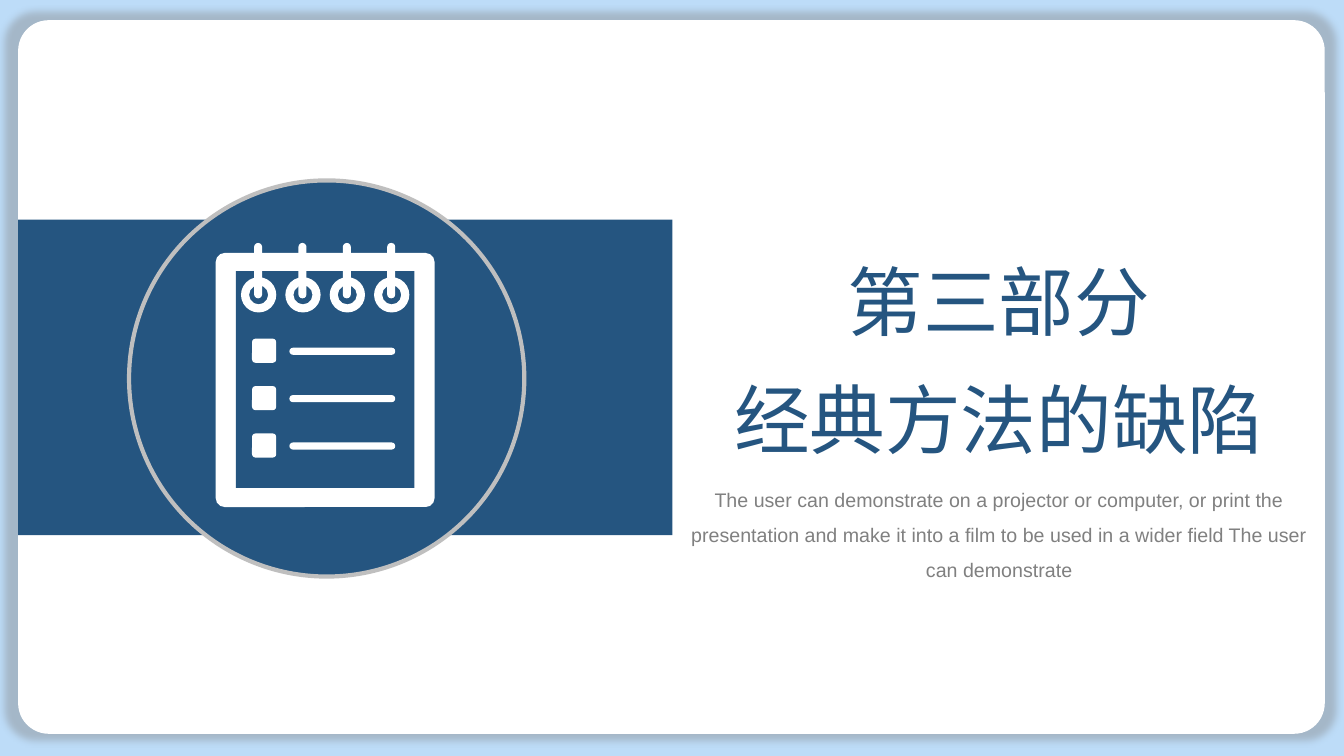
from dataclasses import dataclass

from lxml.etree import SubElement
from pptx import Presentation
from pptx.dml.color import RGBColor
from pptx.enum.shapes import MSO_SHAPE as Preset
from pptx.enum.text import MSO_AUTO_SIZE as AutoSize, PP_ALIGN as Align
from pptx.oxml.ns import qn
from pptx.util import Inches, Pt


@dataclass(frozen=True)
class Theme:
    sky: str = "BDDCF8"
    white: str = "FFFFFF"
    navy: str = "255580"
    silver: str = "BFBFBF"
    grey: str = "808080"
    title_font: str = "Noto Sans CJK JP"
    body_font: str = "Arial"
    title_size: int = 54
    body_size: int = 14


THEME = Theme()


def add_block(parent, preset, left, top, width, height, fill, adjust=None):
    block = parent.shapes.add_shape(
        preset, Inches(left), Inches(top), Inches(width), Inches(height))
    block.shadow.inherit = False
    block.fill.solid()
    block.fill.fore_color.rgb = RGBColor.from_string(fill)
    block.line.fill.background()
    if adjust is not None:
        block.adjustments[0] = adjust
    return block


def add_glow(block):
    effects = block._element.spPr.find(qn("a:effectLst"))
    shadow = SubElement(effects, qn("a:outerShdw"), blurRad=str(Pt(5)),
                        sx="102000", sy="102000", algn="ctr", rotWithShape="0")
    color = SubElement(shadow, qn("a:srgbClr"), val=THEME.grey)
    SubElement(color, qn("a:alpha"), val="40000")


def add_text(page, left, top, width, height, lines, font, size, color, spacing):
    box = page.shapes.add_textbox(
        Inches(left), Inches(top), Inches(width), Inches(height))
    frame = box.text_frame
    frame.word_wrap = True
    frame.auto_size = AutoSize.SHAPE_TO_FIT_TEXT
    frame.text = "\n".join(lines)
    for para in frame.paragraphs:
        para.alignment = Align.CENTER
        para.line_spacing = spacing
        for span in para.runs:
            span.font.name = font
            span.font.size = Pt(size)
            span.font.color.rgb = RGBColor.from_string(color)
            SubElement(span._r.get_or_add_rPr(), qn("a:ea"), typeface=font)


def add_card(page):
    add_block(page, Preset.RECTANGLE, 0, 0, 13.33, 7.5, THEME.sky)
    card = add_block(page, Preset.ROUNDED_RECTANGLE, 0.18, 0.2, 12.96, 7.08,
                     THEME.white, 0.043)
    add_glow(card)


def add_ring(icon, center):
    add_block(icon, Preset.DONUT, center - 0.17, 2.75, 0.35, 0.35,
              THEME.white, 0.23)
    add_block(icon, Preset.ROUNDED_RECTANGLE, center - 0.04, 2.41, 0.08, 0.55,
              THEME.white, 0.5)


def add_list_row(icon, top):
    add_block(icon, Preset.ROUNDED_RECTANGLE, 2.5, top, 0.24, 0.24,
              THEME.white, 0.15)
    add_block(icon, Preset.ROUNDED_RECTANGLE, 2.87, top + 0.09, 1.05, 0.07,
              THEME.white, 0.5)


def add_notepad(page):
    icon = page.shapes.add_group_shape()
    disc = add_block(icon, Preset.OVAL, 1.28, 1.79, 3.92, 3.93, THEME.navy)
    disc.line.color.rgb = RGBColor.from_string(THEME.silver)
    disc.line.width = Pt(3)
    add_block(icon, Preset.ROUNDED_RECTANGLE, 2.14, 2.51, 2.17, 2.52,
              THEME.white, 0.04)
    add_block(icon, Preset.RECTANGLE, 2.34, 2.69, 1.77, 2.15, THEME.navy)
    for index in range(4):
        add_ring(icon, 2.56 + 0.44 * index)
    for index in range(3):
        add_list_row(icon, 3.36 + 0.47 * index)


def main():
    deck = Presentation()
    deck.slide_width = Inches(13.33)
    deck.slide_height = Inches(7.5)
    page = deck.slides.add_slide(deck.slide_layouts[6])
    add_card(page)
    add_block(page, Preset.RECTANGLE, 0.18, 2.18, 6.49, 3.13, THEME.navy)
    add_text(page, 6.66, 2.21, 6.49, 2.35, ["第三部分", "经典方法的缺陷"],
             THEME.title_font, THEME.title_size, THEME.navy, 1.3)
    add_text(page, 6.67, 4.67, 6.48, 1.12,
             ["The user can demonstrate on a projector or computer, or print "
              "the presentation and make it into a film to be used in a wider "
              "field The user can demonstrate"],
             THEME.body_font, THEME.body_size, THEME.grey, 1.5)
    add_notepad(page)
    deck.save("out.pptx")


if __name__ == "__main__":
    main()
